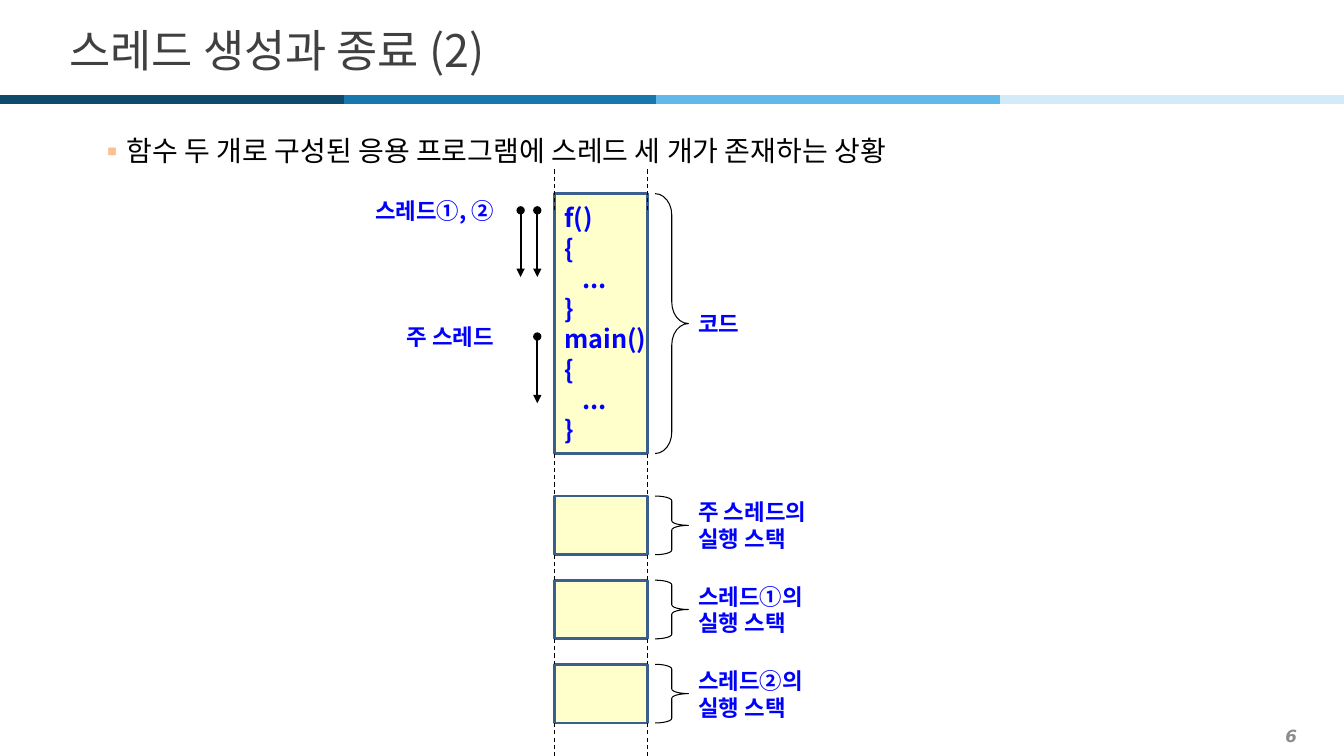
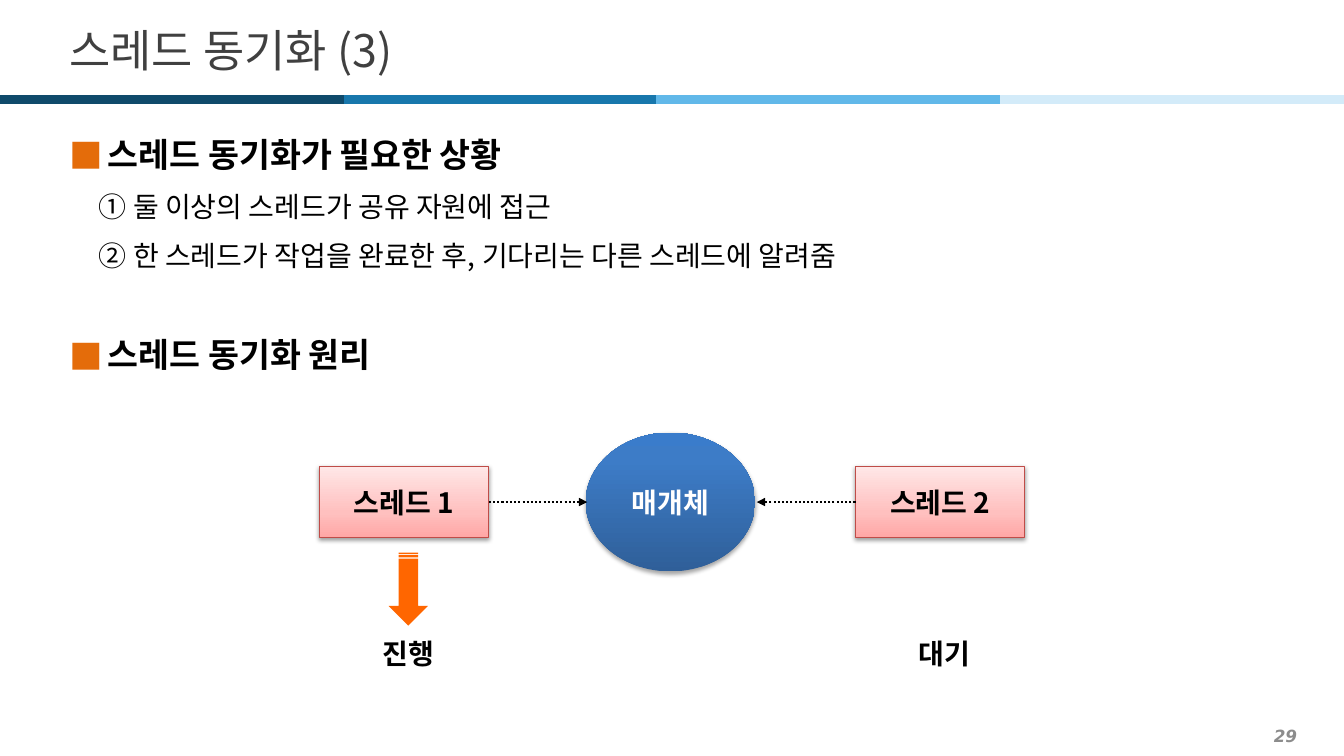
from dataclasses import dataclass

from lxml.etree import SubElement
from pptx import Presentation
from pptx.dml.color import RGBColor
from pptx.enum.dml import MSO_LINE
from pptx.enum.shapes import MSO_CONNECTOR, MSO_SHAPE
from pptx.enum.text import MSO_ANCHOR, PP_ALIGN
from pptx.oxml.ns import qn
from pptx.util import Cm, Pt

HUE = {
    "ink": "000000", "white": "FFFFFF", "title": "404040", "page": "8C8C8C",
    "blue": "0000FF", "cream": "FFFFCC", "frame": "3A5F8C", "edge": "BF4C48",
    "arrow": "FF6600", "square": "E46C0A", "small": "FAC090",
}
BANDS = ["0F4A6B", "1877AC", "61B8E9", "D3EBF9"]
STOPS = [0, 8.66, 16.54, 25.2, 33.87]
PINK = [(0, "FFA6A5"), (35, "FFC0BF"), (100, "FFE7E7")]
OCEAN = [(0, "2F5F99"), (80, "3D7CC7"), (100, "3A7CCB")]
FONT = "Noto Sans CJK KR"
WIDE, HIGH = 33.87, 19.05


@dataclass
class Para:
    """One paragraph; indents are in cm, spacing in points."""
    text: str
    left: float = 0
    first: float = 0
    before: float = 0
    after: float = 0
    mark: str = ""
    tint: str = ""
    size: float = 0
    pitch: float = 0
    face: str = FONT
    bold: bool = False


@dataclass
class Block:
    """One memory area in the column, with the label of its brace."""
    top: float
    high: float
    label: list
    curl: float = 0.142


@dataclass
class Trace:
    """Path of a running thread, from its start point down."""
    x: float
    y: float


def rgb(name: str) -> RGBColor:
    return RGBColor.from_string(HUE.get(name, name))


def write(shape, text, *, size=20, color="ink", bold=False, italic=False, face=FONT,
          align=PP_ALIGN.LEFT, anchor=MSO_ANCHOR.MIDDLE, pitch=1.2, right=0.25):
    """Fill a shape with strings or Para items; pitch is line height over font size."""
    frame = shape.text_frame
    frame.word_wrap = True
    frame.vertical_anchor = anchor
    frame.margin_right = Cm(right)
    for i, item in enumerate([text] if isinstance(text, str) else text):
        item = item if isinstance(item, Para) else Para(item)
        par = frame.paragraphs[0] if i == 0 else frame.add_paragraph()
        points = item.size or size
        par.alignment = align
        par.line_spacing = Pt(points * (item.pitch or pitch))
        par.space_before, par.space_after = Pt(item.before), Pt(item.after)
        props = par._p.get_or_add_pPr()
        props.set("marL", str(Cm(item.left)))
        props.set("indent", str(Cm(item.first)))
        if item.mark:
            tint = SubElement(props, qn("a:buClr"))
            SubElement(tint, qn("a:srgbClr"), val=HUE[item.tint])
            SubElement(props, qn("a:buFont"), typeface=FONT)
            SubElement(props, qn("a:buChar"), char=item.mark)
        run = par.add_run()
        run.text = item.text
        font = run.font
        font.size, font.bold, font.italic = Pt(points), bold or item.bold, italic
        font.color.rgb = rgb(color)
        font.name = item.face if item.face != FONT else face
        SubElement(run._r.get_or_add_rPr(), qn("a:ea"), typeface=FONT)


def note(slide, x: float, y: float, w: float, h: float, text, **style):
    write(slide.shapes.add_textbox(Cm(x), Cm(y), Cm(w), Cm(h)), text, **style)


def form(slide, kind, x: float, y: float, w: float, h: float,
         fill: str = "", line: str = "", width: float = 0.75):
    shape = slide.shapes.add_shape(kind, Cm(x), Cm(y), Cm(w), Cm(h))
    shape.shadow.inherit = False
    if fill:
        shape.fill.solid()
        shape.fill.fore_color.rgb = rgb(fill)
    else:
        shape.fill.background()
    if line:
        shape.line.color.rgb = rgb(line)
        shape.line.width = Pt(width)
    else:
        shape.line.fill.background()
    return shape


def glow(shape, stops: list, alpha: int, drop: float):
    """Give a shape an upward gradient and a soft shadow below."""
    shape.fill.gradient()
    shape.fill.gradient_angle = 90
    props = shape._element.spPr
    ramp = props.find(qn("a:gradFill")).find(qn("a:gsLst"))
    for old in list(ramp):
        ramp.remove(old)
    for pos, color in stops:
        stop = SubElement(ramp, qn("a:gs"), pos=str(pos * 1000))
        SubElement(stop, qn("a:srgbClr"), val=color)
    shade = SubElement(props.find(qn("a:effectLst")), qn("a:outerShdw"),
                       blurRad=str(Pt(3.1)), dist=str(Pt(drop)),
                       dir="5400000", rotWithShape="0")
    tone = SubElement(shade, qn("a:srgbClr"), val=HUE["ink"])
    SubElement(tone, qn("a:alpha"), val=str(alpha * 1000))


def rule(slide, x1: float, y1: float, x2: float, y2: float, color: str = "ink",
         width: float = 0.75, dash=None, head: str = "", tail: str = ""):
    wire = slide.shapes.add_connector(MSO_CONNECTOR.STRAIGHT, Cm(x1), Cm(y1), Cm(x2), Cm(y2))
    wire.line.color.rgb = rgb(color)
    wire.line.width = Pt(width)
    if dash:
        wire.line.dash_style = dash
    props = wire._element.spPr
    for tag, kind in (("a:headEnd", head), ("a:tailEnd", tail)):
        if kind:
            SubElement(props.find(qn("a:ln")), qn(tag), type=kind)
    SubElement(props, qn("a:effectLst"))


def start(deck, title: str, page: str, body: list):
    """Add a slide with the shared bands, page number, title and body."""
    slide = deck.slides.add_slide(deck.slide_layouts[6])
    note(slide, 0.5, 18.14, 32.44, 0.79, page, size=12, color="page", bold=True,
         italic=True, face="DejaVu Sans", align=PP_ALIGN.RIGHT)
    for color, x1, x2 in zip(BANDS, STOPS, STOPS[1:]):
        rule(slide, x1, 2.51, x2, 2.51, color, 6)
    note(slide, 1.5, 0.33, 31, 1.73, title, size=32, color="title", pitch=1.28)
    note(slide, 1.5, 3, 31, 15.32, body, anchor=MSO_ANCHOR.TOP)
    return slide


def topic(text: str, before: float = 0) -> Para:
    return Para(text, 0.97, -0.97, before, 2, "■", "square", 24, 1.5, "Arial", True)


def point(text: str, left: float = 0.74, first: float = 0, mark: str = "") -> Para:
    return Para(text, left, first, 2, 2, mark, "small", 20, 1.55)


def memory(deck):
    slide = start(deck, "스레드 생성과 종료 (2)", "6", [
        point("함수 두 개로 구성된 응용 프로그램에 스레드 세 개가 존재하는 상황", 1.24, -0.5, "▪")])
    x, wide = 13.97, 2.34
    blue = dict(color="blue", bold=True)
    owners = ["주 스레드의", "스레드①의", "스레드②의"]
    blocks = [Block(4.88, 6.55, ["코드"], 0.642)]
    blocks += [Block(12.5 + 2.12 * i, 1.48, [who, "실행 스택"])
               for i, who in enumerate(owners)]
    for i, block in enumerate(blocks):
        box = form(slide, MSO_SHAPE.RECTANGLE, x, block.top, wide, block.high,
                   "cream", "frame", 2)
        if i == 0:
            body = ["{", Para("...", left=0.45), "}"]
            write(box, ["f()", *body, "main()", *body], size=18, right=0, **blue)
        brace = form(slide, MSO_SHAPE.RIGHT_BRACE, 16.51, block.top, 0.84, block.high,
                     line="ink")
        brace.adjustments[0] = block.curl
        note(slide, 17.35, block.top + block.high / 2 - 0.95, 5, 1.9,
             block.label, size=16, **blue)
    ends = [4.27] + [block.top + block.high for block in blocks]
    tops = [5.28] + [block.top for block in blocks[1:]] + [HIGH]
    for y1, y2 in zip(ends, tops):
        for side in (x, x + wide):
            rule(slide, side, y1, side, y2, dash=MSO_LINE.DASH)
    for run in (Trace(13.12, 5.3), Trace(13.54, 5.3), Trace(13.54, 8.48)):
        rule(slide, run.x, run.y, run.x, run.y + 1.68, width=1.5,
             head="oval", tail="triangle")
    for text, y in (("스레드①, ②", 4.45), ("주 스레드", 7.62)):
        note(slide, 7.7, y, 5, 1.7, text, size=16, align=PP_ALIGN.RIGHT, **blue)


def sync(deck):
    slide = start(deck, "스레드 동기화 (3)", "29", [
        topic("스레드 동기화가 필요한 상황"),
        point("① 둘 이상의 스레드가 공유 자원에 접근"),
        point("② 한 스레드가 작업을 완료한 후, 기다리는 다른 스레드에 알려줌"),
        topic("스레드 동기화 원리", 35)])
    wide, mid = 4.27, 12.65
    style = dict(bold=True, align=PP_ALIGN.CENTER)
    hub = form(slide, MSO_SHAPE.OVAL, 14.76, 10.9, wide, 3.5)
    glow(hub, OCEAN, 35, 1.8)
    write(hub, "매개체", color="white", **style)
    sides = (("스레드 1", "진행", 8.05, 12.32, 14.8),
             ("스레드 2", "대기", 21.56, 21.56, 19.07))
    for name, state, x, near, far in sides:
        box = form(slide, MSO_SHAPE.RECTANGLE, x, mid - 0.9, wide, 1.8, line="edge")
        glow(box, PINK, 38, 1.6)
        write(box, name, **style)
        rule(slide, near, mid, far, mid, width=1.5, dash=MSO_LINE.ROUND_DOT,
             tail="triangle")
        note(slide, x + 0.25, 15.55, 4, 1.8, state, **style)
    arrow = form(slide, MSO_SHAPE.STRIPED_RIGHT_ARROW, 9.37, 14.35, 1.84, 0.99, "arrow")
    arrow.rotation = 90


def main():
    deck = Presentation()
    deck.slide_width, deck.slide_height = Cm(WIDE), Cm(HIGH)
    memory(deck)
    sync(deck)
    deck.save("out.pptx")


if __name__ == "__main__":
    main()
